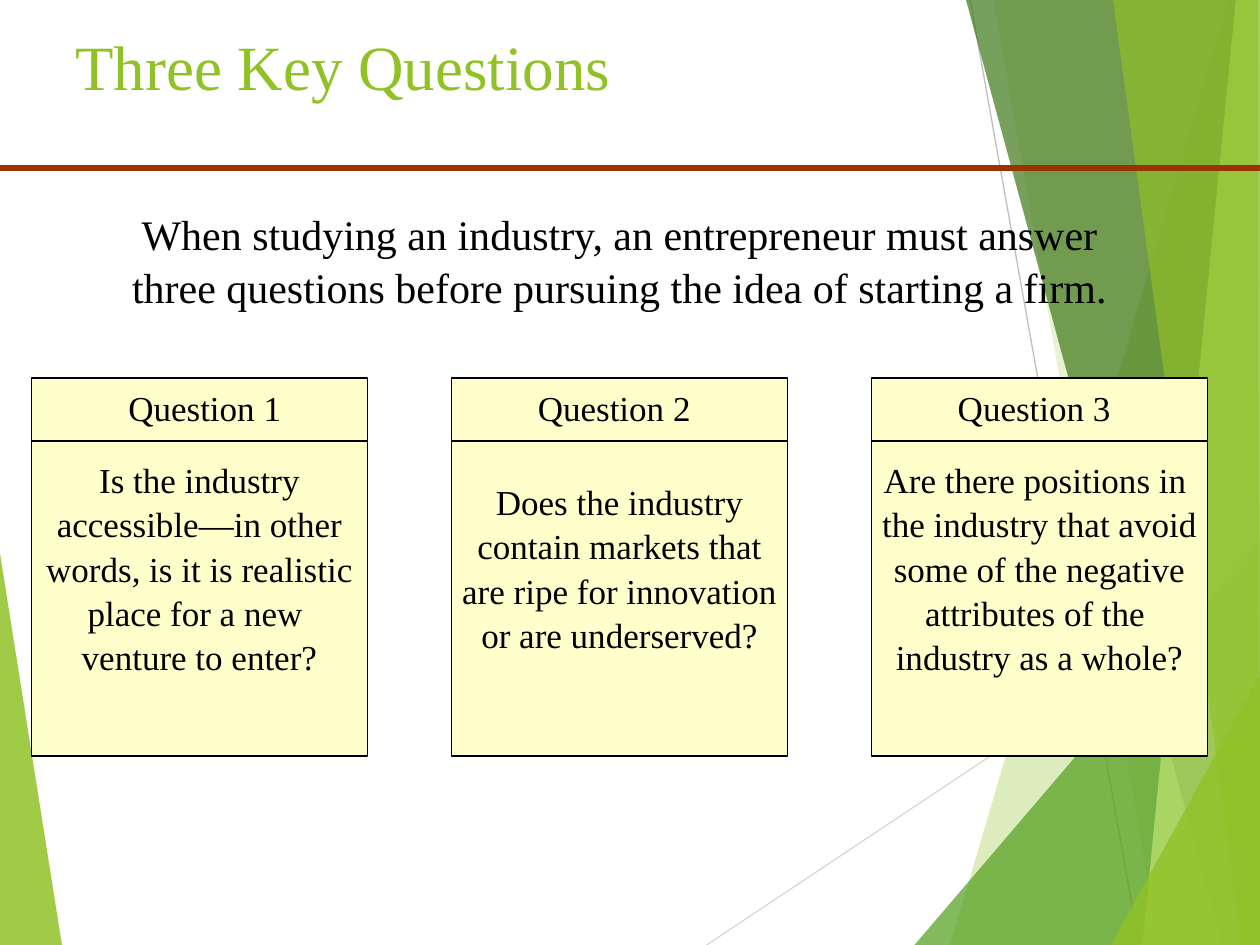
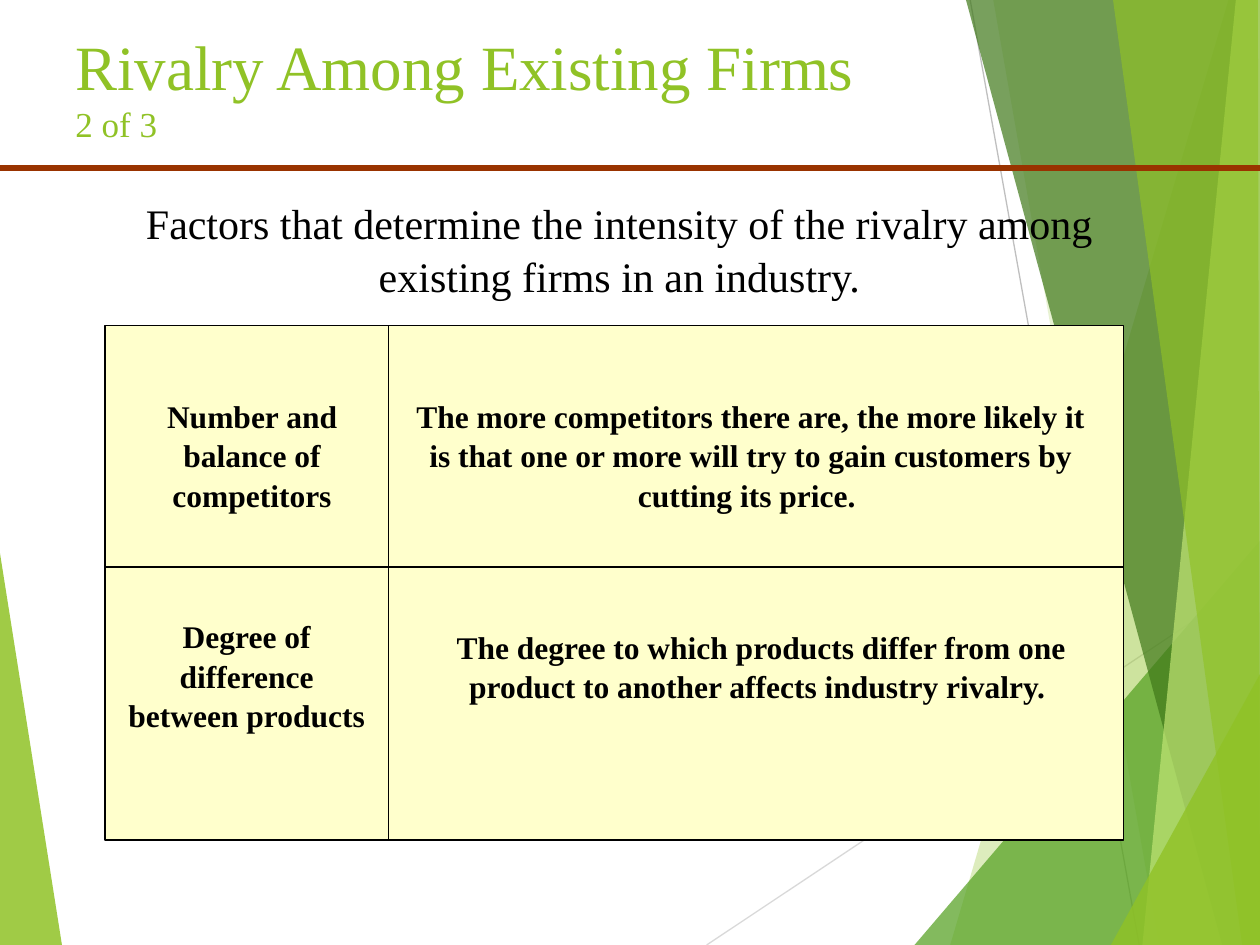
from dataclasses import dataclass

from pptx import Presentation
from pptx.dml.color import RGBColor
from pptx.enum.shapes import MSO_CONNECTOR, MSO_SHAPE
from pptx.enum.text import MSO_ANCHOR, MSO_AUTO_SIZE, PP_ALIGN
from pptx.oxml.ns import qn
from pptx.util import Inches, Pt
from lxml.etree import SubElement

COLUMNS, ROWS = 120, 90
SLIDE_WIDTH, SLIDE_HEIGHT = Inches(10), Inches(7.5)


@dataclass(frozen=True)
class Theme:
    font: str = "Times New Roman"
    accent: str = "90C226"
    green: str = "54A021"
    dark_green: str = "3F7819"
    pale_green: str = "C0E474"
    rule: str = "993300"
    panel: str = "FFFFCC"
    ink: str = "000000"
    light_gray: str = "D9D9D9"
    gray: str = "BFBFBF"
    title_size: int = 36
    lead_size: int = 24
    card_size: int = 20
    factor_size: int = 18
    hairline: float = 0.75
    rule_width: float = 3
    line_spacing: float = 1.05


THEME = Theme()

LEFT_WEDGE = (THEME.accent, 85, [(0, 52.7), (5.9, 90), (0, 90)])
RAYS = [
    (THEME.light_gray, (67.3, 90), (120, 54.9)),
    (THEME.gray, (92.4, 0), (108.5, 90)),
]
RIGHT_FACETS = [
    (THEME.accent, 30, [(117, 0), (90.5, 90), (120, 90), (120, 0)]),
    (THEME.accent, 20, [(94.6, 0), (110.4, 90), (120, 90), (120, 0)]),
    (THEME.green, 72, [(87.1, 90), (120, 51.5), (120, 90)]),
    (THEME.dark_green, 70, [(92, 0), (116.4, 90), (120, 90), (120, 0)]),
    (THEME.pale_green, 70, [(117.7, 0), (108.8, 90), (120, 90), (120, 0)]),
    (THEME.accent, 65, [(106, 0), (118.3, 90), (120, 90), (119.8, 0)]),
    (THEME.accent, 80, [(105.8, 90), (120, 64.2), (120, 90)]),
]

QUESTIONS_TITLE = "Three Key Questions"
QUESTIONS_LEAD = (
    "When studying an industry, an entrepreneur must answer "
    "three questions before pursuing the idea of starting a firm."
)
QUESTIONS = [
    ("Question 1", 1, [
        "Is the industry",
        "accessible—in other",
        "words, is it is realistic",
        "place for a new ",
        "venture to enter?",
    ]),
    ("Question 2", 0, [
        "Does the industry",
        "contain markets that",
        "are ripe for innovation",
        "or are underserved?",
    ]),
    ("Question 3", 0, [
        "Are there positions in ",
        "the industry that avoid",
        "some of the negative",
        "attributes of the ",
        "industry as a whole?",
    ]),
]

RIVALRY_TITLE = "Rivalry Among Existing Firms"
RIVALRY_PART = "2 of 3"
RIVALRY_LEAD = (
    "Factors that determine the intensity of the rivalry among "
    "existing firms in an industry."
)
FACTORS = [
    ("Number and balance of competitors", (10, 37, 28, 12)),
    ("The more competitors there are, the more likely it is that one or more "
     "will try to gain customers by cutting its price. ", (38, 37, 67, 12)),
    ("Degree of difference between products", (11, 58, 25, 12)),
    ("The degree to which products differ from one product to another "
     "affects industry rivalry. ", (41, 59, 63, 8.4)),
]


def across(columns):
    return round(SLIDE_WIDTH * columns / COLUMNS)


def down(rows):
    return round(SLIDE_HEIGHT * rows / ROWS)


def place(box):
    left, top, width, height = box
    return across(left), down(top), across(width), down(height)


def color(value):
    return RGBColor.from_string(value)


def add_run(paragraph, text, size, ink=THEME.ink, bold=False):
    run = paragraph.add_run()
    run.text = text
    run.font.name = THEME.font
    run.font.size = Pt(size)
    run.font.bold = bold
    run.font.color.rgb = color(ink)


def add_line(slide, start, end, ink=THEME.ink, width=THEME.hairline):
    connector = slide.shapes.add_connector(
        MSO_CONNECTOR.STRAIGHT,
        across(start[0]), down(start[1]), across(end[0]), down(end[1]),
    )
    connector.line.color.rgb = color(ink)
    connector.line.width = Pt(width)
    SubElement(connector._element.spPr, qn("a:effectLst"))


def add_facet(slide, fill, opacity, points):
    corners = [(across(x), down(y)) for x, y in points]
    builder = slide.shapes.build_freeform(*corners[0])
    builder.add_line_segments(corners[1:], close=True)
    shape = builder.convert_to_shape()
    shape.shadow.inherit = False
    shape.line.fill.background()
    shape.fill.solid()
    shape.fill.fore_color.rgb = color(fill)
    solid_color = shape._element.spPr.find(qn("a:solidFill"))[0]
    SubElement(solid_color, qn("a:alpha"), val=str(opacity * 1000))


def add_panel(slide, box):
    shape = slide.shapes.add_shape(MSO_SHAPE.RECTANGLE, *place(box))
    shape.shadow.inherit = False
    shape.fill.solid()
    shape.fill.fore_color.rgb = color(THEME.panel)
    shape.line.color.rgb = color(THEME.ink)
    shape.line.width = Pt(THEME.hairline)
    return shape


def write_lines(frame, lines, size, bold=False):
    for index, line in enumerate(lines):
        paragraph = frame.add_paragraph() if index else frame.paragraphs[0]
        paragraph.alignment = PP_ALIGN.CENTER
        paragraph.line_spacing = THEME.line_spacing
        add_run(paragraph, line, size, bold=bold)


def add_centered_text(slide, text, box, size, bold=False):
    frame = slide.shapes.add_textbox(*place(box)).text_frame
    frame.word_wrap = True
    frame.auto_size = MSO_AUTO_SIZE.SHAPE_TO_FIT_TEXT
    write_lines(frame, [text], size, bold)


def add_title(slide, title, part):
    frame = slide.shapes.add_textbox(*place((6, 2, 108, 15))).text_frame
    frame.word_wrap = True
    paragraph = frame.paragraphs[0]
    add_run(paragraph, title, THEME.title_size, THEME.accent)
    if part:
        paragraph.add_line_break()
        add_run(paragraph, part, THEME.card_size, THEME.accent)


def start_slide(presentation, title, lead, lead_box, part=None):
    slide = presentation.slides.add_slide(presentation.slide_layouts[6])
    add_facet(slide, *LEFT_WEDGE)
    for ink, start, end in RAYS:
        add_line(slide, start, end, ink)
    for facet in RIGHT_FACETS:
        add_facet(slide, *facet)
    add_title(slide, title, part)
    add_line(slide, (0, 16), (COLUMNS, 16), THEME.rule, THEME.rule_width)
    add_centered_text(slide, lead, lead_box, THEME.lead_size)
    return slide


def build_questions(presentation):
    slide = start_slide(
        presentation, QUESTIONS_TITLE, QUESTIONS_LEAD, (9, 19, 100, 10.8))
    first_left, top, width, height, pitch, header = 3, 36, 32, 36, 40, 6
    for index, (heading, heading_shift, lines) in enumerate(QUESTIONS):
        left = first_left + index * pitch
        frame = add_panel(slide, (left, top, width, height)).text_frame
        frame.word_wrap = False
        frame.vertical_anchor = MSO_ANCHOR.MIDDLE
        write_lines(frame, lines, THEME.card_size)
        add_line(slide, (left, top + header), (left + width, top + header))
        add_centered_text(
            slide, heading, (left + heading_shift, top, width - 1, 5.3),
            THEME.card_size)


def build_rivalry(presentation):
    slide = start_slide(
        presentation, RIVALRY_TITLE, RIVALRY_LEAD, (8, 18, 102, 10.8),
        RIVALRY_PART)
    left, top, width, height = 10, 31, 97, 49
    row_break, column_break = 54, 37
    add_panel(slide, (left, top, width, height))
    add_line(slide, (left, row_break), (left + width, row_break))
    add_line(slide, (column_break, top), (column_break, top + height))
    for text, box in FACTORS:
        add_centered_text(slide, text, box, THEME.factor_size, bold=True)


def main():
    presentation = Presentation()
    presentation.slide_width = SLIDE_WIDTH
    presentation.slide_height = SLIDE_HEIGHT
    build_questions(presentation)
    build_rivalry(presentation)
    presentation.save("out.pptx")


if __name__ == "__main__":
    main()
